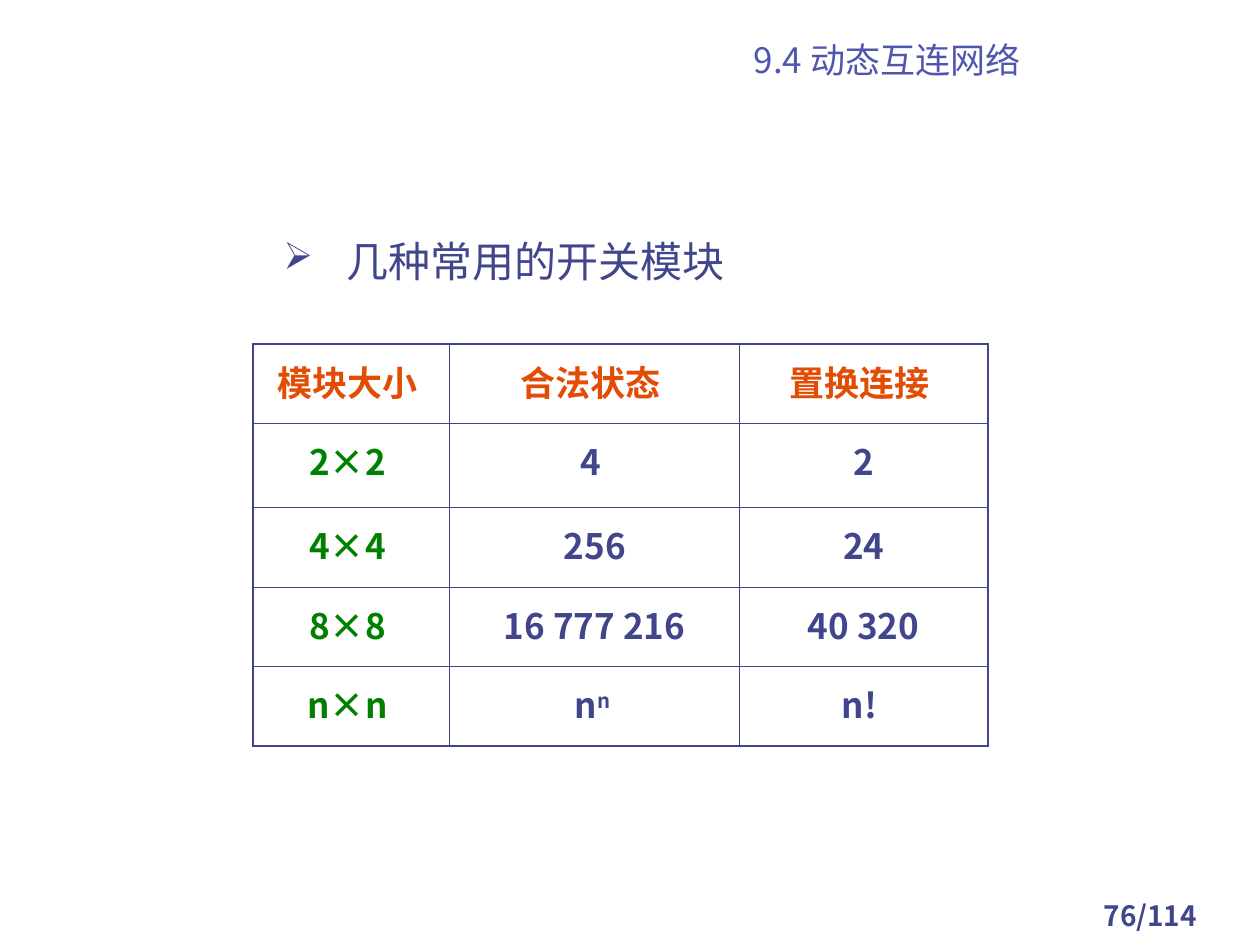
import pptx
import pptx.dml.color
import pptx.enum.text
import pptx.oxml
import pptx.oxml.ns
import pptx.util
from lxml import etree

Inches = pptx.util.Inches
Pt = pptx.util.Pt
Align = pptx.enum.text.PP_ALIGN
Anchor = pptx.enum.text.MSO_ANCHOR
COLORS = {"ink": "40458C", "title": "4F56AD", "head": "E24C05", "size": "008000"}
SANS = "Noto Sans CJK SC"


class SlideBuilder:
    """Holds the style and the current slide, and adds each kind of element."""

    def __init__(self, deck):
        self.page = deck.slides.add_slide(deck.slide_layouts[6])
        self.thin, self.thick = Pt(0.45), Pt(1.08)

    def child(self, parent, tag, **attributes):
        node = etree.SubElement(parent, pptx.oxml.ns.qn(tag))
        for name, value in attributes.items():
            node.set(name, str(value))
        return node

    def add_span(self, para, text, color, size, name=SANS, bold=False, raised=False):
        span = para.add_run()
        span.text = text
        for key, value in {"size": Pt(size), "bold": bold, "name": name}.items():
            setattr(span.font, key, value)
        span.font.color.rgb = pptx.dml.color.RGBColor.from_string(COLORS[color])
        properties = span._r.get_or_add_rPr()
        self.child(properties, "a:ea", typeface=name)
        if raised:
            properties.set("baseline", "30000")

    def add_text(self, place, text, color, size, anchor=Anchor.TOP, align=Align.CENTER, **style):
        box = self.page.shapes.add_textbox(*map(Inches, place))
        frame = box.text_frame
        for key, value in {"word_wrap": True, "vertical_anchor": anchor}.items():
            setattr(frame, key, value)
        para = frame.paragraphs[0]
        para.alignment = align
        self.add_span(para, text, color, size, **style)
        return para

    def add_bullet(self, place, text, color, size, **style):
        para = self.add_text(place, text, color, size, align=Align.LEFT, **style)
        para.line_spacing = 1.1
        properties = para._p.get_or_add_pPr()
        properties.set("marL", str(Inches(1.19)))
        properties.set("indent", str(Inches(-0.5)))
        bullet_color = self.child(properties, "a:buClr")
        self.child(bullet_color, "a:srgbClr", val=COLORS[color])
        self.child(properties, "a:buSzPct", val=90000)
        self.child(properties, "a:buChar", char="➢")

    def add_borders(self, cell, widths):
        properties = cell._tc.get_or_add_tcPr()
        for index, (side, width) in enumerate(widths.items()):
            line = pptx.oxml.parse_xml(
                f'<a:{side} {pptx.oxml.ns.nsdecls("a")} w="{int(width)}"><a:solidFill>'
                f'<a:srgbClr val="{COLORS["ink"]}"/></a:solidFill></a:{side}>'
            )
            properties.insert(index, line)

    def add_table(self, place, widths, heights, rows):
        last_row, last_column = len(rows) - 1, len(widths) - 1
        grid = self.page.shapes.add_table(
            len(rows), len(widths), *map(Inches, place)).table
        grid.first_row = grid.horz_banding = False
        for column, width in zip(grid.columns, widths):
            column.width = Inches(width)
        for row, height in zip(grid.rows, heights):
            row.height = Inches(height)
        for r, row in enumerate(rows):
            for c, parts in enumerate(row):
                cell = grid.cell(r, c)
                cell.fill.background()
                edges = {"lnL": c == 0, "lnR": c == last_column,
                         "lnT": r == 0, "lnB": r == last_row}
                self.add_borders(cell, {side: self.thick if outer else self.thin
                                        for side, outer in edges.items()})
                para = cell.text_frame.paragraphs[0]
                para.alignment = Align.CENTER
                para.line_spacing = 1.1
                color = "head" if r == 0 else "size" if c == 0 else "ink"
                for index, part in enumerate(parts):
                    self.add_span(para, part, color, 20, bold=True, raised=index > 0)


def main():
    deck = pptx.Presentation()
    deck.slide_width, deck.slide_height = Inches(10), Inches(7.5)
    slide = SlideBuilder(deck)
    slide.add_text((8.42, 7.08, 1.42, 0.33), "76/114", "ink", 16, bold=True)
    slide.add_text((4.25, 0.27, 5.58, 0.42), "9.4 动态互连网络", "title", 20, Anchor.BOTTOM)
    slide.add_bullet((1.46, 1.78, 7.87, 1.16), "几种常用的开关模块", "ink", 24, name="Lato")
    slide.add_table((2.01, 2.73, 5.83, 3.19), [1.56, 2.3, 1.97],
                    [0.63, 0.67, 0.63, 0.63, 0.63], [
        [["模块大小 "], ["合法状态 "], ["置换连接 "]],
        [["2×2 "], ["4 "], ["2"]],
        [["4×4 "], ["256"], ["24"]],
        [["8×8 "], ["16 777 216"], ["40 320"]],
        [["n×n "], ["n", "n "], ["n! "]],
    ])
    deck.save("out.pptx")


if __name__ == "__main__":
    main()
